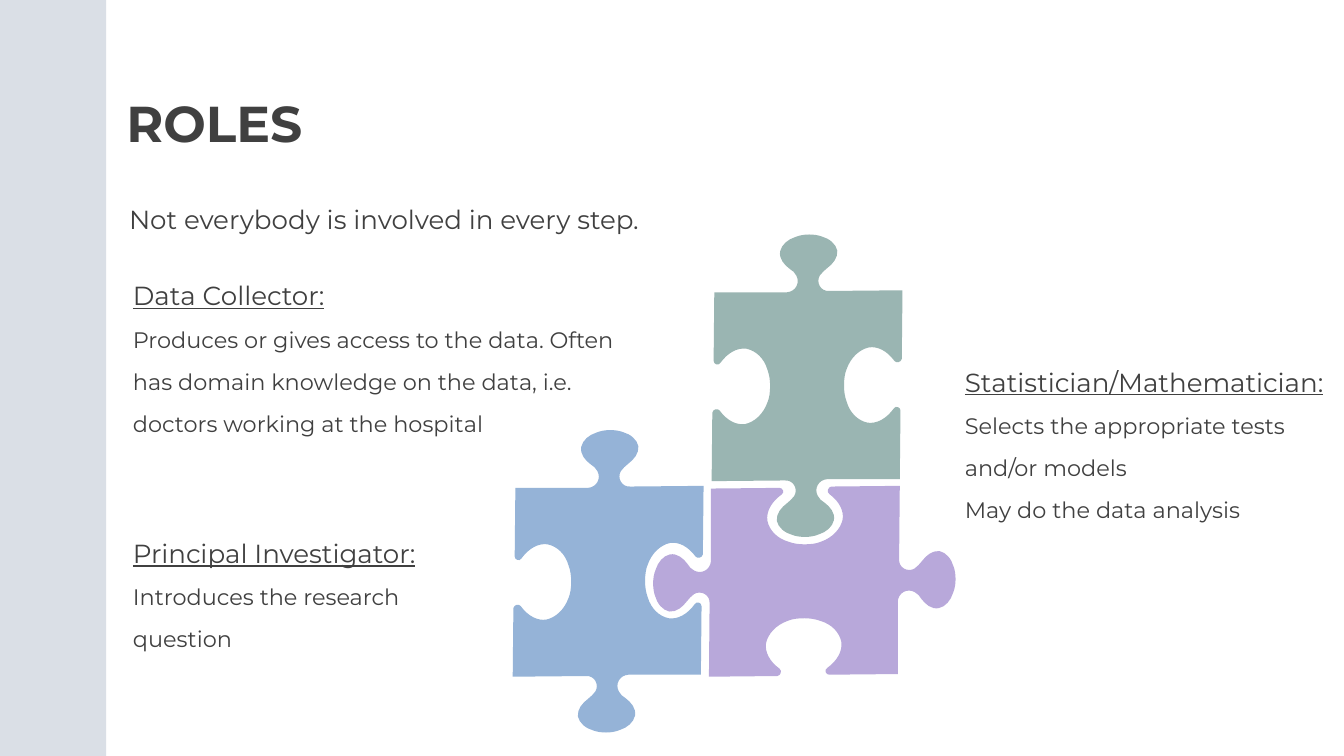
import math
import pptx
import pptx.util
import pptx.dml.color
import pptx.enum.shapes
import pptx.enum.text
import pptx.oxml.ns
import lxml.etree
from pptx.util import Inches, Pt

HUES = {"text": "404040", "side": "D3D9E2", "blue": "95B3D7",
        "violet": "B8A8DA", "green": "9AB5B2"}

# Half of a puzzle piece around its centre, in inches, from the lower right
# corner to the upper left: one point is a line, three points are a curve.
HALF = [
    [(1.38, 1.39)],
    [(1.39, 0.37)],
    [(1.39, 0.32), (1.32, 0.29), (1.29, 0.34)],
    [(1.18, 0.49), (1.04, 0.57), (0.9, 0.55)],
    [(0.76, 0.52), (0.64, 0.41), (0.59, 0.24)],
    [(0.56, 0.16), (0.55, 0.08), (0.55, 0)],
    [(0.55, -0.1), (0.56, -0.18), (0.59, -0.25)],
    [(0.65, -0.42), (0.78, -0.54), (0.92, -0.57)],
    [(1.05, -0.59), (1.19, -0.52), (1.3, -0.37)],
    [(1.33, -0.33), (1.4, -0.35), (1.41, -0.4)],
    [(1.42, -1.42)],
    [(0.33, -1.41)],
    [(0.2, -1.4), (0.13, -1.54), (0.19, -1.64)],
    [(0.22, -1.68), (0.26, -1.72), (0.3, -1.75)],
    [(0.38, -1.81), (0.46, -1.9), (0.45, -2.01)],
    [(0.43, -2.11), (0.33, -2.19), (0.22, -2.22)],
    [(0.17, -2.24), (0.1, -2.25), (0.03, -2.25)],
    [(-0.04, -2.25), (-0.11, -2.24), (-0.18, -2.21)],
    [(-0.28, -2.18), (-0.38, -2.1), (-0.4, -2)],
    [(-0.42, -1.89), (-0.34, -1.8), (-0.26, -1.74)],
    [(-0.22, -1.72), (-0.18, -1.68), (-0.16, -1.64)],
    [(-0.1, -1.53), (-0.17, -1.4), (-0.3, -1.39)],
]


def paint(shape, hue):
    shape.shadow.inherit = False
    shape.fill.solid()
    shape.fill.fore_color.rgb = pptx.dml.color.RGBColor.from_string(HUES[hue])
    shape.line.fill.background()


def write(frame, lines, pitch):
    """Fill a frame with (text, size, bold, underline) lines."""
    frame.word_wrap = True
    frame.auto_size = pptx.enum.text.MSO_AUTO_SIZE.NONE
    frame.vertical_anchor = pptx.enum.text.MSO_ANCHOR.TOP
    for i, (text, size, bold, under) in enumerate(lines):
        para = frame.add_paragraph() if i else frame.paragraphs[0]
        para.text = text
        para.alignment = pptx.enum.text.PP_ALIGN.LEFT
        para.line_spacing = Pt(pitch)
        para.space_before = para.space_after = Pt(0)
        font = para.font
        font.name, font.size = "Montserrat", Pt(size)
        font.bold, font.underline = bold, under
        font.color.rgb = pptx.dml.color.RGBColor.from_string(HUES["text"])


deck = pptx.Presentation()
deck.slide_width, deck.slide_height = Inches(20), Inches(11.25)
slide = deck.slides.add_slide(deck.slide_layouts[5])
shapes = slide.shapes

# Title, sidebar and opening sentence
title = shapes.title
title.left, title.top = Inches(1.88), Inches(1.18)
title.width, title.height = Inches(10.28), Inches(1.04)
write(title.text_frame, [("ROLES", 54, True, False)], 78.1)

side = shapes.add_shape(pptx.enum.shapes.MSO_SHAPE.RECTANGLE,
                        0, 0, Inches(1.58), Inches(11.25))
paint(side, "side")
tint = side.fill._xPr.find(".//" + pptx.oxml.ns.qn("a:srgbClr"))
lxml.etree.SubElement(tint, pptx.oxml.ns.qn("a:alpha"), val="84000")

intro = shapes.add_textbox(Inches(1.92), Inches(2.87), Inches(8.67), Inches(0.57))
write(intro.text_frame,
      [("Not everybody is involved in every step.", 28, False, False)], 44.8)
for frame in (title.text_frame, intro.text_frame):
    frame.margin_left = frame.margin_right = 0
    frame.margin_top = frame.margin_bottom = 0

# Puzzle: the second half of the outline is the first turned half round
outline = HALF + [[(-x, -y) for x, y in part] for part in HALF]
points = [spot for part in outline for spot in part]
tilt = math.sqrt(0.5)

for hue, left, top, flip in [("blue", 9.05, 8.65, False),
                             ("violet", 11.97, 8.65, True),
                             ("green", 12.01, 5.74, False)]:
    spots = [(-y, -x) if flip else (x, y) for x, y in points]
    # Drawn an eighth turn clockwise, which the shape's rotation takes back
    spots = [(Inches(left + (x - y) * tilt), Inches(top + (x + y) * tilt))
             for x, y in spots]
    pen = shapes.build_freeform(*spots[0])
    pen.add_line_segments(spots[1:], close=True)
    piece = pen.convert_to_shape()
    piece.rotation = 315
    paint(piece, hue)

    # Join each run of three points into one curve
    steps = iter(piece._element.findall(".//" + pptx.oxml.ns.qn("a:lnTo")))
    for part in outline[1:]:
        group = [next(steps) for spot in part]
        if len(group) == 3:
            curve = lxml.etree.Element(pptx.oxml.ns.qn("a:cubicBezTo"))
            group[0].addprevious(curve)
            for step in group:
                curve.append(step[0])
                step.getparent().remove(step)

# Roles
roles = [
    ((1.88, 3.96, 7.58, 3.2), "Data Collector:",
     ["Produces or gives access to the data. Often has domain knowledge "
      "on the data, i.e. doctors working at the hospital"]),
    ((1.88, 7.79, 5.69, 1.92), "Principal Investigator:",
     ["Introduces the research question"]),
    ((14.26, 5.24, 5.66, 2.55), "Statistician/Mathematician:",
     ["Selects the appropriate tests and/or models",
      "May do the data analysis"]),
]
for place, role, tasks in roles:
    box = shapes.add_textbox(*map(Inches, place))
    lines = [(role, 28, False, True)]
    lines += [(task, 24, False, False) for task in tasks]
    write(box.text_frame, lines, 44.8)

deck.save("out.pptx")
